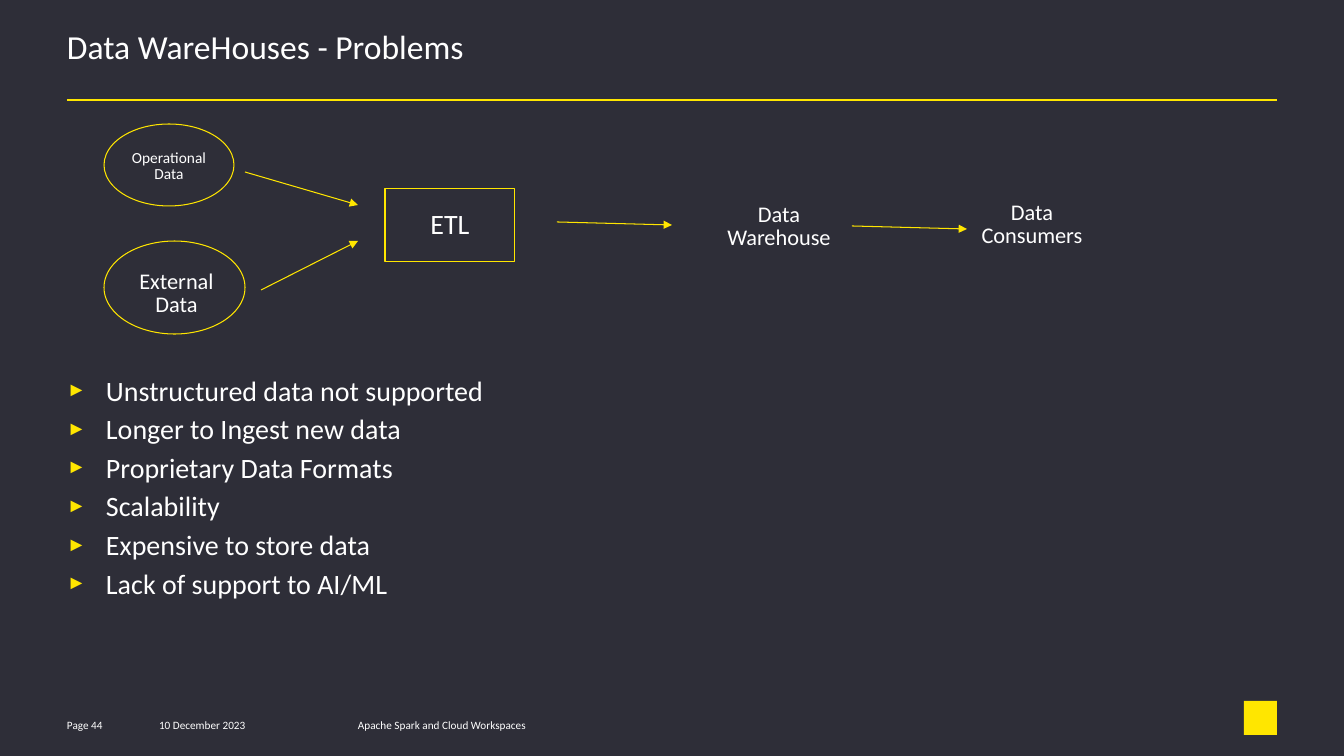
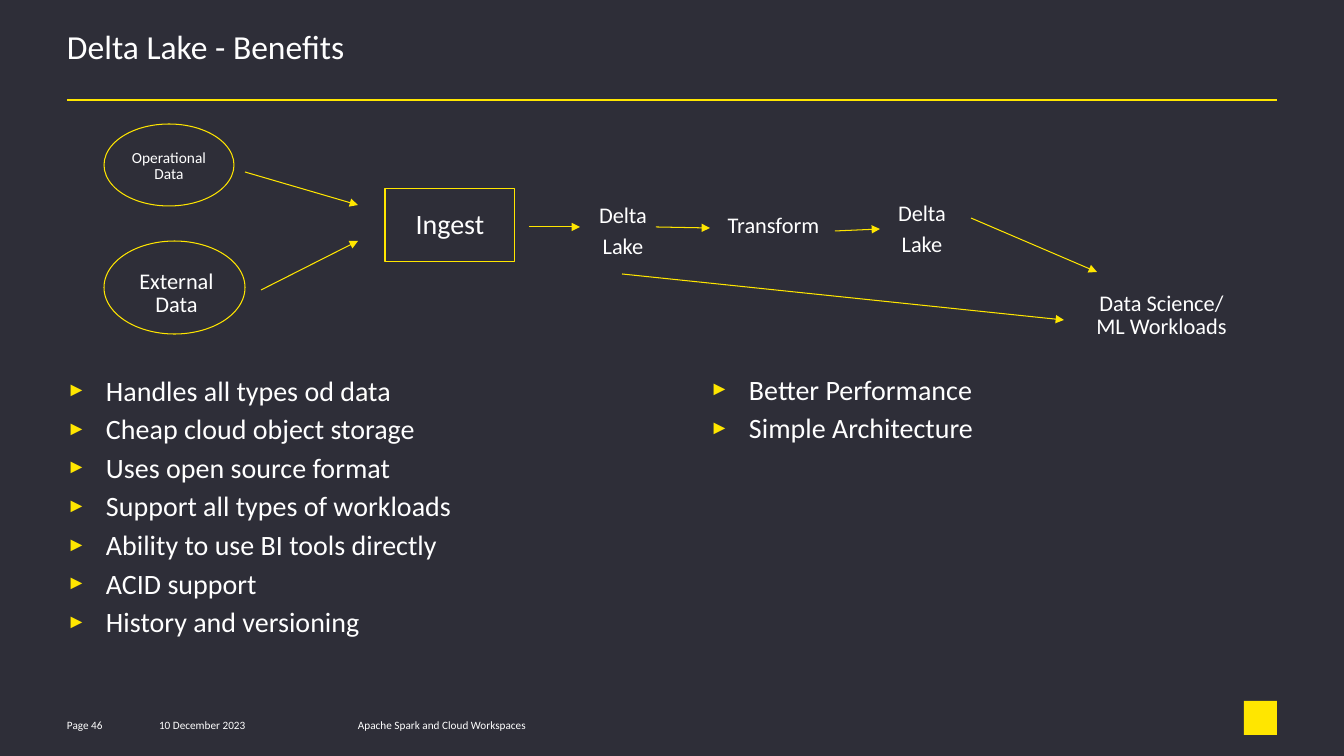
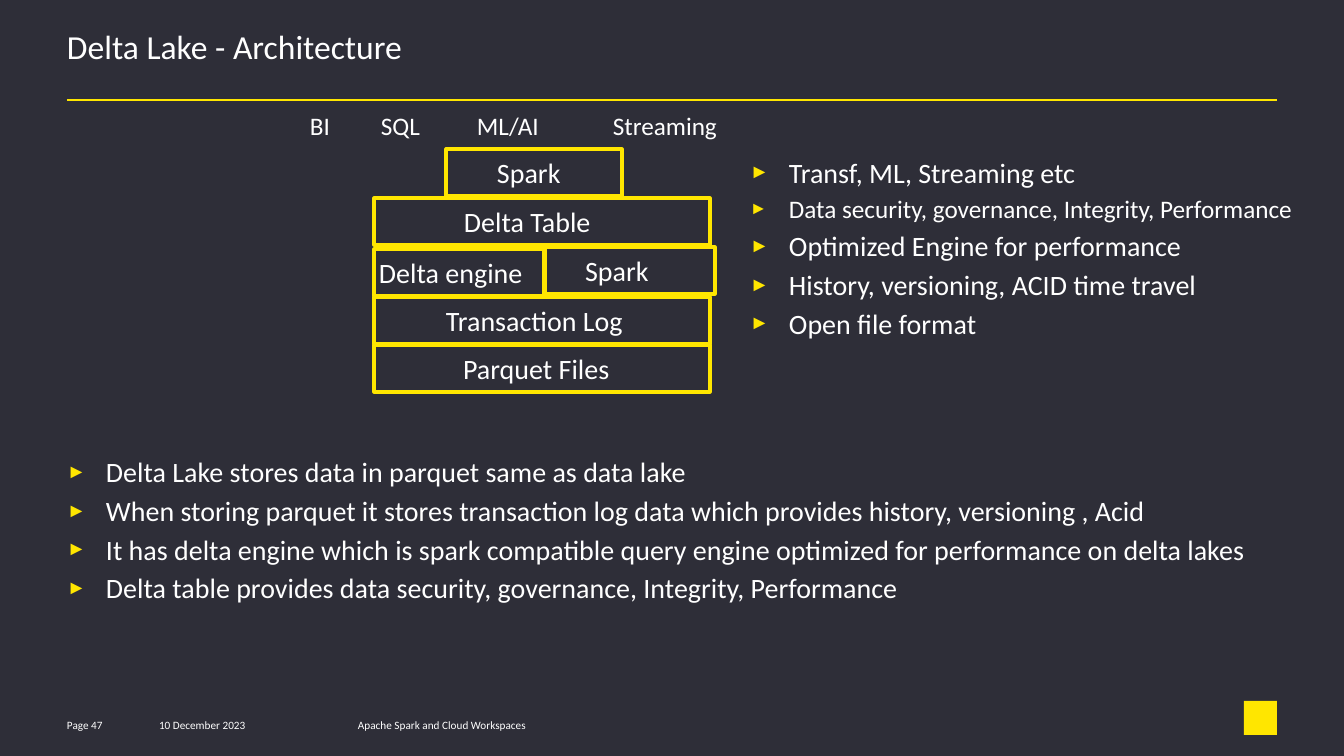
from collections import namedtuple
from dataclasses import dataclass

from lxml.etree import SubElement
from pptx import Presentation
from pptx.dml.color import RGBColor
from pptx.enum.shapes import MSO_CONNECTOR as Connector, MSO_SHAPE as Shape
from pptx.enum.text import MSO_ANCHOR as Anchor, MSO_AUTO_SIZE as AutoSize, PP_ALIGN as Align
from pptx.oxml.ns import qn
from pptx.util import Emu, Pt


@dataclass(frozen=True)
class Theme:
    font: str = "Calibri"
    ground: RGBColor = RGBColor.from_string("2E2E38")
    accent: RGBColor = RGBColor.from_string("FFE600")
    ink: RGBColor = RGBColor.from_string("FFFFFF")
    title: int = 24
    body: int = 20
    caption: int = 18
    step: int = 16
    small: int = 11
    footer: int = 8
    thin: float = 0.75
    rule: float = 1.5
    thick: float = 2.25
    tight: float = 0.85


THEME = Theme()
EMU_PER_PX = 9076
WIDTH, HEIGHT = 1344, 756
BULLET_INDENT = 39
BULLET_GAP = 3.6
LABEL_MARGINS = (0, 4, 0, 0)


def px(length):
    return Emu(length * EMU_PER_PX)


class Box(namedtuple("Box", "x y w h")):
    def inner(self, x, y, w, h):
        return Box(self.x + x, self.y + y, w, h)

    def point(self, x, y):
        return px(self.x + x), px(self.y + y)

    def emu(self):
        return [px(length) for length in self]


def add_bullet(paragraph):
    props = paragraph._p.get_or_add_pPr()
    props.set("marL", str(px(BULLET_INDENT)))
    props.set("indent", str(-px(BULLET_INDENT)))
    colour = SubElement(props, qn("a:buClr"))
    SubElement(colour, qn("a:srgbClr"), val=str(THEME.accent))
    SubElement(props, qn("a:buSzPct"), val="70000")
    SubElement(props, qn("a:buFont"), typeface="Arial")
    SubElement(props, qn("a:buChar"), char="►")


def add_tabs(paragraph, stops):
    tab_list = SubElement(paragraph._p.get_or_add_pPr(), qn("a:tabLst"))
    for stop in stops:
        SubElement(tab_list, qn("a:tab"), pos=str(px(stop)), algn="l")


def write(frame, lines, size=THEME.body, align=Align.LEFT, anchor=Anchor.TOP,
          margins=(0, 0, 0, 0), spacing=1.0, before=0, after=0,
          bullets=False, tabs=(), sizes=None):
    frame.word_wrap = True
    frame.auto_size = AutoSize.NONE
    frame.vertical_anchor = anchor
    (frame.margin_left, frame.margin_top,
     frame.margin_right, frame.margin_bottom) = map(px, margins)
    for index, line in enumerate(lines):
        paragraph = frame.add_paragraph() if index else frame.paragraphs[0]
        if bullets:
            add_bullet(paragraph)
        if tabs:
            add_tabs(paragraph, tabs)
        paragraph.alignment = align
        paragraph.line_spacing = spacing
        paragraph.space_before = Pt(before if index else 0)
        paragraph.space_after = Pt(after)
        run = paragraph.add_run()
        run.text = line
        run.font.name = THEME.font
        run.font.size = Pt((sizes or {}).get(index, size))
        run.font.color.rgb = THEME.ink


def add_label(slide, box, *lines, **text_format):
    write(slide.shapes.add_textbox(*box.emu()).text_frame, lines, **text_format)


def add_node(slide, box, kind, text, weight=THEME.thin, **text_format):
    node = slide.shapes.add_shape(kind, *box.emu())
    node.shadow.inherit = False
    node.fill.background()
    node.line.color.rgb = THEME.accent
    node.line.width = Pt(weight)
    write(node.text_frame, [text], spacing=THEME.tight, **text_format)


def add_line(slide, start, end, weight=THEME.thin, arrow=True):
    line = slide.shapes.add_connector(Connector.STRAIGHT, *start, *end)
    line.line.color.rgb = THEME.accent
    line.line.width = Pt(weight)
    if arrow:
        SubElement(line.line._get_or_add_ln(), qn("a:tailEnd"), type="triangle")
    SubElement(line._element.spPr, qn("a:effectLst"))


def add_list(slide, index, box, lines, **text_format):
    holder = slide.placeholders[index]
    holder.left, holder.top, holder.width, holder.height = box.emu()
    write(holder.text_frame, lines, **text_format)


def add_bullets(slide, index, box, lines, **text_format):
    add_list(slide, index, box, lines, bullets=True, before=BULLET_GAP, **text_format)


def add_footer(slide, box, page):
    for x, width, text in ((0, 74, f"Page {page}"),
                           (92, 121, "10 December 2023"),
                           (291, 330, "Apache Spark and Cloud Workspaces")):
        add_label(slide, box.inner(x, 12, width, 20), text,
                  size=THEME.footer, margins=(0, 5, 0, 5))
    badge = slide.shapes.add_shape(Shape.RECTANGLE, *box.inner(1177, 0, 33, 34).emu())
    badge.shadow.inherit = False
    badge.fill.solid()
    badge.fill.fore_color.rgb = THEME.accent
    badge.line.fill.background()


def start_slide(deck, layout, title, page):
    slide = deck.slides.add_slide(deck.slide_layouts.get_by_name(layout))
    header = Box(67, 32, 1210, 65)
    add_list(slide, 0, header, [title], size=THEME.title, spacing=THEME.tight)
    add_line(slide, header.point(0, 68), header.point(header.w, 68),
             weight=THEME.rule, arrow=False)
    add_footer(slide, Box(67, 701, 1210, 34), page)
    return slide


def add_flow(slide, box, stage, steps, arrows):
    centred = dict(align=Align.CENTER, anchor=Anchor.MIDDLE)
    add_node(slide, box.inner(0, 0, 130, 82), Shape.OVAL, "Operational Data",
             size=THEME.small, margins=(0, 4, 0, 0), **centred)
    add_node(slide, box.inner(0, 117, 141, 93), Shape.OVAL, "External Data",
             size=THEME.step, margins=(4, 14, 0, 0), **centred)
    add_node(slide, box.inner(281, 65, 130, 73), Shape.RECTANGLE, stage, **centred)
    for place, lines in steps:
        add_label(slide, box.inner(*place), *lines, size=THEME.step, align=Align.CENTER,
                  margins=LABEL_MARGINS, spacing=THEME.tight, after=6)
    for x1, y1, x2, y2 in ((141, 48, 254, 81), (157, 166, 254, 117), *arrows):
        add_line(slide, box.point(x1, y1), box.point(x2, y2))


def add_stack(slide, box):
    add_label(slide, box.inner(-64, -38, 464, 30), "BI\tSQL\tML/AI\tStreaming",
              size=THEME.caption, margins=LABEL_MARGINS, spacing=THEME.tight,
              tabs=(71, 167, 303))
    for x, y, width, indent, text in (
            (72, 0, 176, 51, "Spark"),
            (0, 49, 336, 90, "Delta Table"),
            (0, 100, 171, 5, "Delta engine"),
            (0, 148, 336, 72, "Transaction Log"),
            (0, 196, 336, 89, "Parquet Files"),
            (170, 98, 171, 41, "Spark")):
        add_node(slide, box.inner(x, y, width, 47), Shape.RECTANGLE, text,
                 weight=THEME.thick, margins=(indent, 12, 0, 0))


def build_problems(deck):
    slide = start_slide(deck, "Title and Content", "Data WareHouses - Problems", 44)
    add_flow(slide, Box(104, 124, 1129, 215), "ETL",
             steps=[((610, 76, 130, 50), ["Data Warehouse"]),
                    ((863, 74, 130, 50), ["Data Consumers"])],
             arrows=[(453, 98, 568, 101), (748, 102, 863, 105)])
    add_bullets(slide, 1, Box(67, 373, 1210, 292), [
        "Unstructured data not supported",
        "Longer to Ingest new data",
        "Proprietary Data Formats",
        "Scalability",
        "Expensive to store data",
        "Lack of support to AI/ML"])


def build_benefits(deck):
    slide = start_slide(deck, "Two Content", "Delta Lake - Benefits", 46)
    add_flow(slide, Box(104, 124, 1129, 215), "Ingest",
             steps=[((477, 77, 84, 58), ["Delta", "Lake"]),
                    ((598, 87, 143, 27), ["Transform"]),
                    ((776, 75, 84, 58), ["Delta", "Lake"]),
                    ((986, 165, 143, 50), ["Data Science/ ML Workloads"])],
             arrows=[(425, 103, 476, 103), (552, 103, 606, 104), (731, 107, 776, 105),
                     (867, 94, 993, 148), (518, 150, 960, 196)])
    add_bullets(slide, 1, Box(67, 373, 597, 292), [
        "Handles all types od data",
        "Cheap cloud object storage",
        "Uses open source format",
        "Support all types of workloads",
        "Ability to use BI tools directly",
        "ACID support",
        "History and versioning"])
    add_bullets(slide, 2, Box(710, 372, 597, 292),
                ["Better Performance", "Simple Architecture"])


def build_architecture(deck):
    slide = start_slide(deck, "Two Content", "Delta Lake - Architecture", 47)
    add_stack(slide, Box(374, 149, 341, 245))
    add_bullets(slide, 1, Box(67, 455, 1250, 206), [
        "Delta Lake stores data in parquet same as data lake",
        "When storing parquet it stores transaction log data which provides history, "
        "versioning , Acid",
        "It has delta engine which is spark compatible query engine optimized for "
        "performance on delta lakes",
        "Delta table provides data security, governance, Integrity, Performance"])
    add_bullets(slide, 2, Box(750, 155, 590, 239), [
        "Transf, ML, Streaming etc",
        "Data security, governance, Integrity, Performance",
        "Optimized Engine for performance",
        "History, versioning, ACID time travel",
        "Open file format"], sizes={1: THEME.caption})


def main():
    deck = Presentation()
    deck.slide_width, deck.slide_height = px(WIDTH), px(HEIGHT)
    ground = deck.slide_master.background.fill
    ground.solid()
    ground.fore_color.rgb = THEME.ground
    for build in (build_problems, build_benefits, build_architecture):
        build(deck)
    deck.save("out.pptx")


if __name__ == "__main__":
    main()
